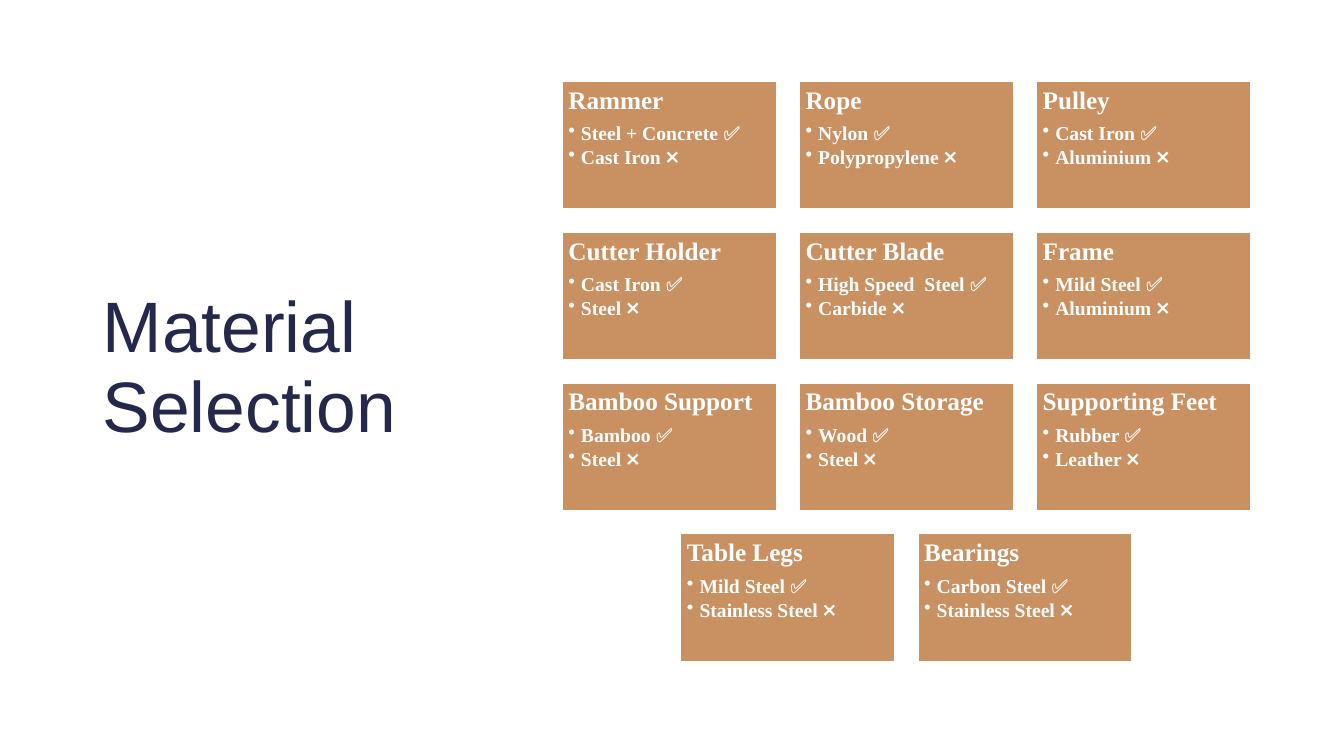
from dataclasses import dataclass

from lxml import etree
from pptx import Presentation
from pptx.dml.color import RGBColor
from pptx.enum.shapes import MSO_SHAPE
from pptx.enum.text import MSO_ANCHOR, PP_ALIGN
from pptx.oxml.ns import qn
from pptx.util import Pt

RECTANGLE = MSO_SHAPE.RECTANGLE
TOP, MIDDLE = MSO_ANCHOR.TOP, MSO_ANCHOR.MIDDLE
LEFT = PP_ALIGN.LEFT

SLIDE_WIDTH, SLIDE_HEIGHT = 960, 540
CARD_WIDTH, CARD_HEIGHT, CARD_GAP = 154, 92.4, 15.4
GRID_LEFT, GRID_TOP, COLUMNS = 401, 57.4, 3
GRID_WIDTH = COLUMNS * CARD_WIDTH + (COLUMNS - 1) * CARD_GAP

MATERIALS = [
    ("Rammer", "Steel + Concrete", "Cast Iron"),
    ("Rope", "Nylon", "Polypropylene"),
    ("Pulley", "Cast Iron", "Aluminium"),
    ("Cutter Holder", "Cast Iron", "Steel"),
    ("Cutter Blade", "High Speed  Steel", "Carbide"),
    ("Frame", "Mild Steel", "Aluminium"),
    ("Bamboo Support", "Bamboo", "Steel"),
    ("Bamboo Storage", "Wood", "Steel"),
    ("Supporting Feet", "Rubber", "Leather"),
    ("Table Legs", "Mild Steel", "Stainless Steel"),
    ("Bearings", "Carbon Steel", "Stainless Steel"),
]


@dataclass(frozen=True)
class Theme:
    """Colours, fonts and type sizes of the slide."""

    navy: RGBColor = RGBColor.from_string("24294B")
    copper: RGBColor = RGBColor.from_string("C99062")
    white: RGBColor = RGBColor.from_string("FFFFFF")
    title_font: str = "Arial"
    card_font: str = "Times New Roman"
    title_size: float = 51
    heading_size: float = 18
    option_size: float = 14


def write(paragraph, text, *, font, size, color, bold=False, spacing=0.9,
          after=0, indent=0):
    """Write formatted text, bulleted when an indent is given."""
    if indent:
        paragraph.level = 1
        properties = paragraph._p.get_or_add_pPr()
        properties.set("marL", str(Pt(indent)))
        properties.set("indent", str(-Pt(indent)))
        etree.SubElement(properties, qn("a:buChar"), char="•")
    paragraph.alignment = LEFT
    paragraph.line_spacing = spacing
    paragraph.space_before = Pt(0)
    paragraph.space_after = Pt(after)
    run = paragraph.add_run()
    run.text = text
    run.font.name = font
    run.font.size = Pt(size)
    run.font.bold = bold
    run.font.color.rgb = color


class SlideBuilder:
    """Draws the elements of one slide in one theme."""

    def __init__(self, slide, theme):
        """Keep the slide and its theme."""
        self.slide = slide
        self.theme = theme

    def title(self, text, left, top, width, height):
        """Add the vertically centred slide title."""
        heading = self.slide.shapes.add_textbox(
            Pt(left), Pt(top), Pt(width), Pt(height))
        frame = heading.text_frame
        frame.word_wrap = True
        frame.vertical_anchor = MIDDLE
        write(frame.paragraphs[0], text, font=self.theme.title_font,
              size=self.theme.title_size, color=self.theme.navy, spacing=0.94)

    def card(self, part, chosen, rejected, left, top):
        """Add one part with its chosen and rejected material."""
        theme = self.theme
        card = self.slide.shapes.add_shape(
            RECTANGLE, Pt(left), Pt(top), Pt(CARD_WIDTH), Pt(CARD_HEIGHT))
        card.shadow.inherit = False
        card.fill.solid()
        card.fill.fore_color.rgb = theme.copper
        card.line.color.rgb = theme.white
        card.line.width = Pt(2)
        frame = card.text_frame
        frame.word_wrap = True
        frame.vertical_anchor = TOP
        frame.margin_left = frame.margin_right = Pt(5)
        frame.margin_top = frame.margin_bottom = Pt(5)
        lettering = {"font": theme.card_font, "color": theme.white, "bold": True}
        write(frame.paragraphs[0], part, size=theme.heading_size, after=6.3,
              **lettering)
        for option in (f"{chosen} ✅", f"{rejected} ❌"):
            write(frame.add_paragraph(), option, size=theme.option_size,
                  after=2.1, indent=9, **lettering)

    def card_grid(self, materials):
        """Lay the cards out in rows, each centred on the grid."""
        for row, start in enumerate(range(0, len(materials), COLUMNS)):
            cards = materials[start:start + COLUMNS]
            row_width = len(cards) * (CARD_WIDTH + CARD_GAP) - CARD_GAP
            row_left = GRID_LEFT + (GRID_WIDTH - row_width) / 2
            top = GRID_TOP + row * (CARD_HEIGHT + CARD_GAP)
            for column, (part, chosen, rejected) in enumerate(cards):
                left = row_left + column * (CARD_WIDTH + CARD_GAP)
                self.card(part, chosen, rejected, left, top)


def main():
    """Build and save the presentation."""
    presentation = Presentation()
    presentation.slide_width = Pt(SLIDE_WIDTH)
    presentation.slide_height = Pt(SLIDE_HEIGHT)
    slide = presentation.slides.add_slide(presentation.slide_layouts[6])
    builder = SlideBuilder(slide, Theme())
    builder.title("Material Selection", 66.2, 43.9, 265.7, 438.5)
    builder.card_grid(MATERIALS)
    presentation.save("out.pptx")


if __name__ == "__main__":
    main()
